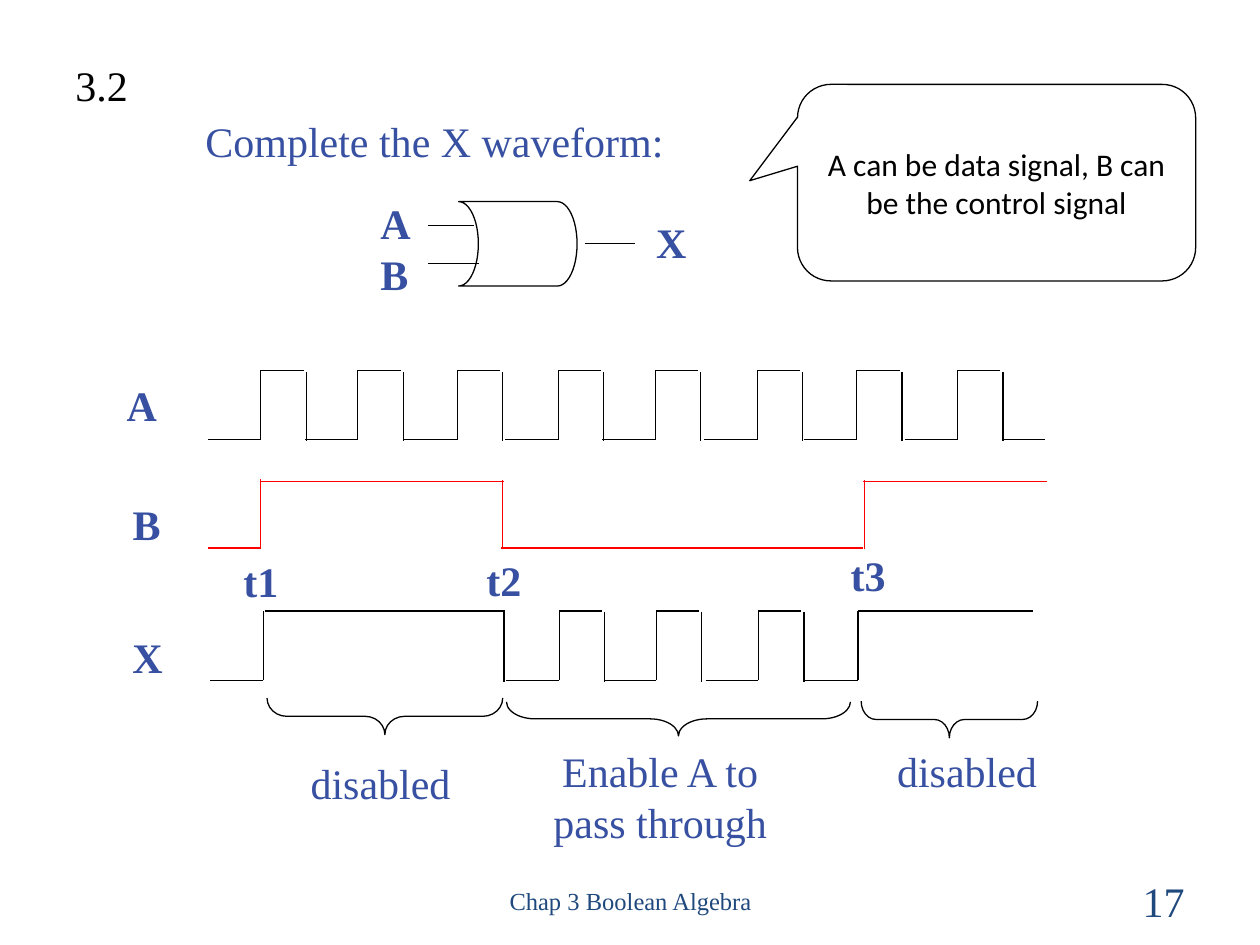
from lxml.etree import SubElement
from pptx import Presentation
from pptx.dml.color import RGBColor
from pptx.enum.shapes import MSO_CONNECTOR, MSO_SHAPE
from pptx.enum.text import MSO_ANCHOR, PP_ALIGN
from pptx.oxml.ns import qn
from pptx.util import Inches, Pt

INK = {"black": "000000", "blue": "3750A1", "navy": "1F497D", "red": "FF0000"}
LEFT, MID, RIGHT = PP_ALIGN.LEFT, PP_ALIGN.CENTER, PP_ALIGN.RIGHT


class Board:
    serif = "Times New Roman"
    sans = "Calibri"
    size = 24
    width = 0.75

    def __init__(self, slide):
        self.slide = slide
        self.pool = slide.shapes

    def group(self):
        self.pool = self.slide.shapes.add_group_shape().shapes

    def free(self):
        self.pool = self.slide.shapes

    def tint(self, name):
        return RGBColor.from_string(INK[name])

    def words(self, shape, text, color="blue", size=size, face=serif, bold=False,
              align=MID, anchor=MSO_ANCHOR.TOP, wrap=True, pitch=None):
        frame = shape.text_frame
        frame.text = text
        frame.word_wrap = wrap
        frame.vertical_anchor = anchor
        for para in frame.paragraphs:
            para.alignment = align
            para.line_spacing = pitch
            font = para.font
            font.name, font.size, font.bold = face, Pt(size), bold
            font.color.rgb = self.tint(color)

    def title(self, box, text, **style):
        shape = self.slide.shapes.title
        shape.left, shape.top, shape.width, shape.height = map(Inches, box)
        self.words(shape, text, **style)

    def label(self, box, text, **style):
        self.words(self.pool.add_textbox(*map(Inches, box)), text, **style)

    def shape(self, kind, box, turn=0, knobs=()):
        shape = self.pool.add_shape(kind, *map(Inches, box))
        shape.rotation = turn
        for spot, knob in enumerate(knobs):
            shape.adjustments[spot] = knob
        shape.shadow.inherit = False
        shape.fill.background()
        shape.line.color.rgb = self.tint("black")
        shape.line.width = Pt(self.width)
        return shape

    def line(self, x1, y1, x2, y2, color="black"):
        wire = self.pool.add_connector(MSO_CONNECTOR.STRAIGHT, *map(Inches, (x1, y1, x2, y2)))
        wire.line.color.rgb = self.tint(color)
        wire.line.width = Pt(self.width)
        SubElement(wire._element.spPr, qn("a:effectLst"))

    def rise(self, x, low, color="black"):
        self.line(x - 0.42, low, x, low, color)
        self.line(x, low, x, low - 0.55, color)

    def fall(self, x, low, color="black"):
        self.line(x, low + 0.01, x, low - 0.54, color)

    def pulse(self, x, low):
        self.rise(x, low)
        self.line(x, low - 0.55, x + 0.34, low - 0.55)
        self.fall(x + 0.36, low)


deck = Presentation()
deck.slide_width, deck.slide_height = Inches(10), Inches(7.5)
board = Board(deck.slides.add_slide(deck.slide_layouts[5]))

for box, text, size, align in (
    ((3.42, 6.95, 3.17, 0.4), "Chap 3 Boolean Algebra", 14, MID),
    ((7.17, 6.95, 2.33, 0.4), "17", 24, RIGHT),
):
    board.label(box, text, color="navy", size=size, align=align, anchor=MSO_ANCHOR.MIDDLE)
board.label((0.5, 0.42, 0.62, 0.5), "3.2", color="black", align=LEFT, wrap=False)
board.title((1.53, 0.87, 5.27, 0.5), "Complete the X waveform:", align=LEFT)

board.group()
board.shape(MSO_SHAPE.FLOWCHART_STORED_DATA, (3.64, 1.6, 0.94, 0.67), turn=180)
for x1, x2, y in ((3.4, 3.76, 1.79), (3.4, 3.8, 2.09), (4.64, 5.04, 1.93)):
    board.line(x1, y, x2, y)
board.label((2.92, 1.52, 0.44, 0.9), "A\nB", bold=True, align=LEFT, wrap=False)
board.label((5.11, 1.67, 0.58, 0.5), "X", bold=True, align=LEFT)

edges = (2.07, 2.84, 3.63, 4.43, 5.2, 6.01, 6.8, 7.6)
low = 3.49
board.group()
for x in edges:
    board.pulse(x, low)
board.line(7.95, low, 8.29, low)

low = 4.35
board.group()
board.rise(2.07, low, "red")
board.line(2.07, 3.82, 4, 3.82, "red")
board.fall(3.99, low, "red")
board.line(3.98, low, 6.85, low, "red")
board.fall(6.86, low, "red")
board.line(6.85, 3.82, 8.31, 3.82, "red")

low, shift = 5.4, 0.01
board.group()
board.rise(2.09, low)
board.line(2.1, 4.85, 4.01, 4.85)
board.fall(4, low)
for x in edges[3:6]:
    board.pulse(x + shift, low)
board.rise(edges[6] + shift, low)
board.line(6.81, 4.85, 8.2, 4.85)
board.free()

for box, text in (
    ((0.89, 2.96, 0.47, 0.5), "A"),
    ((0.91, 3.91, 0.51, 0.5), "B"),
    ((0.85, 4.96, 0.64, 0.5), "X"),
):
    board.label(box, text, bold=True)

for box, bend in (
    ((2.91, 4.75, 0.29, 1.87), 0.54),
    ((5.25, 4.34, 0.27, 2.73), 0.84),
    ((7.39, 5.01, 0.29, 1.4), 0.41),
):
    board.shape(MSO_SHAPE.LEFT_BRACE, box, turn=270, knobs=(bend, 0.5))

for box, text in (
    ((2.13, 5.96, 1.78, 0.5), "disabled"),
    ((6.84, 5.87, 1.67, 0.5), "disabled"),
    ((4.07, 5.87, 2.34, 0.9), "Enable A to pass through"),
):
    board.label(box, text)

note = board.shape(MSO_SHAPE.ROUNDED_RECTANGULAR_CALLOUT, (6.33, 0.67, 3.16, 1.56),
                   knobs=(-0.62, -0.01, 0.17))
board.words(note, "A can be data signal, B can be the control signal", color="black",
            size=18, face=board.sans, anchor=MSO_ANCHOR.MIDDLE)

for x, y, text in ((1.73, 4.44, "t1"), (3.66, 4.43, "t2"), (6.55, 4.39, "t3")):
    board.label((x, y, 0.68, 0.42), text, bold=True, pitch=0.8)

deck.save("out.pptx")
